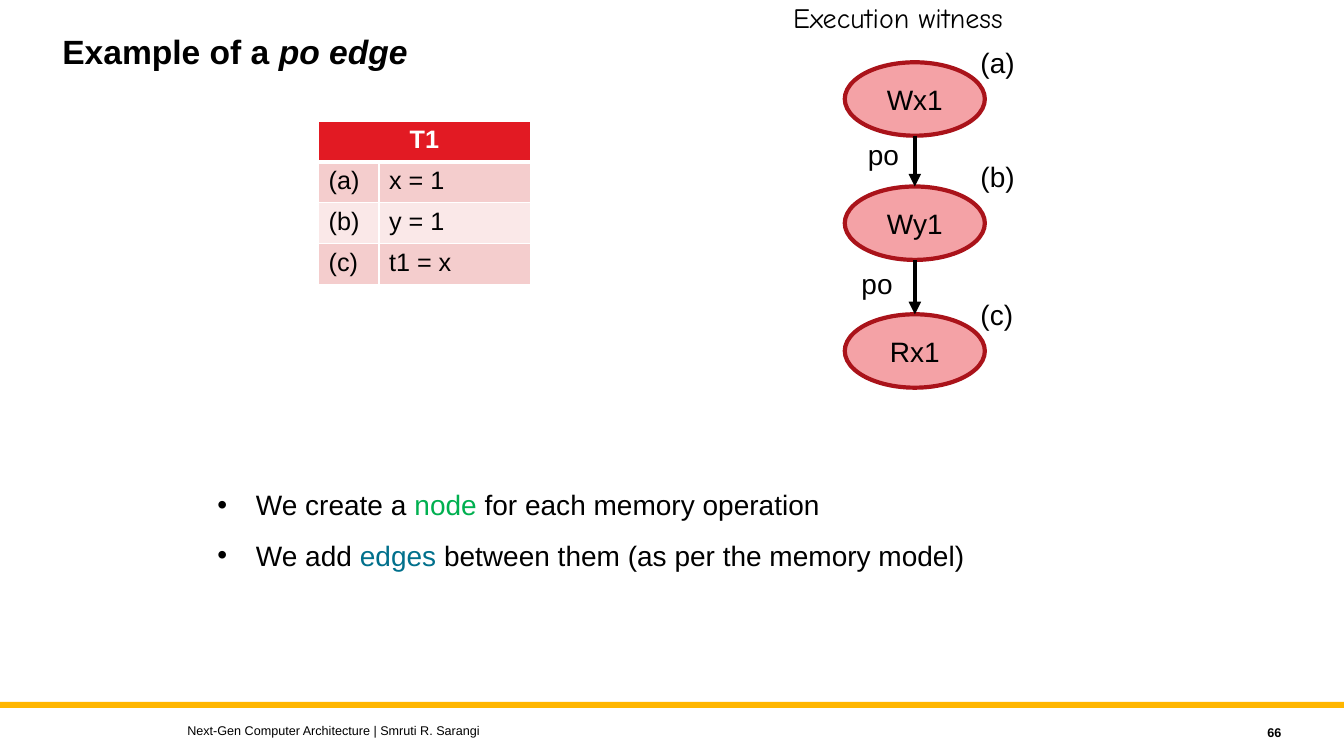
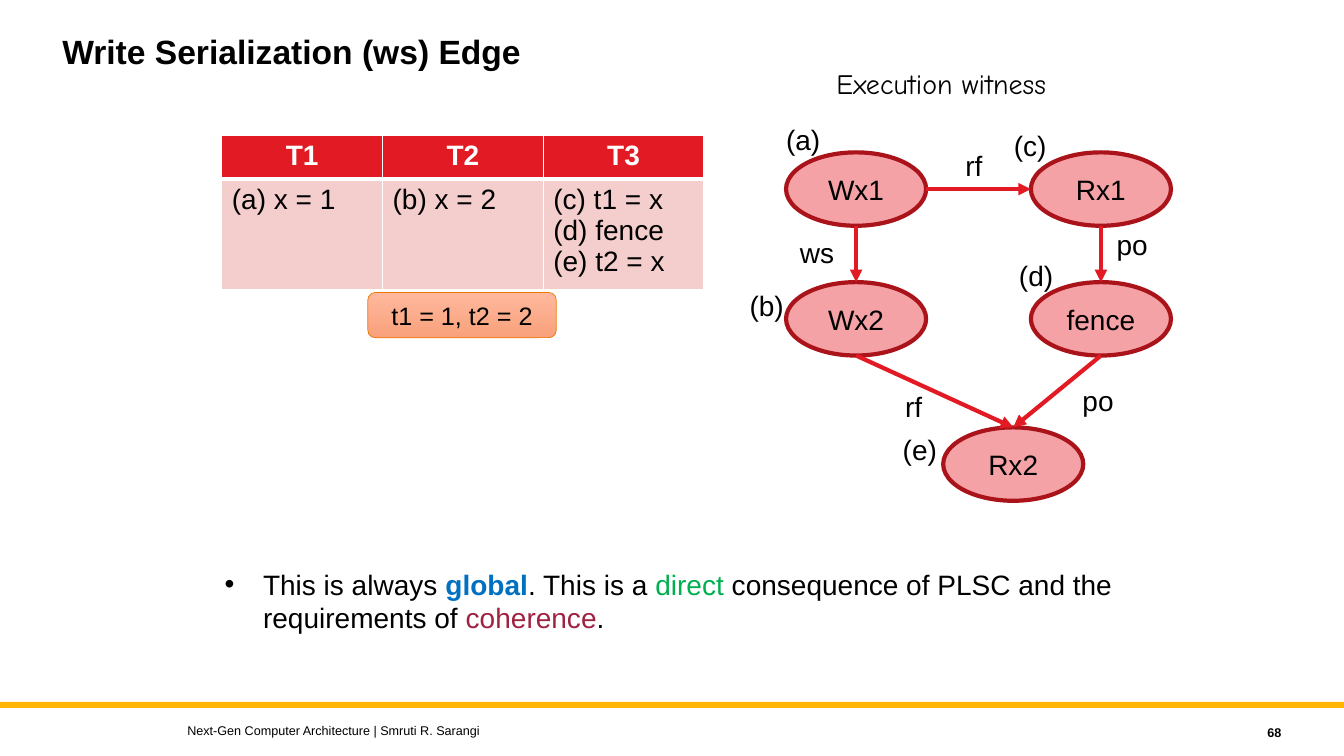
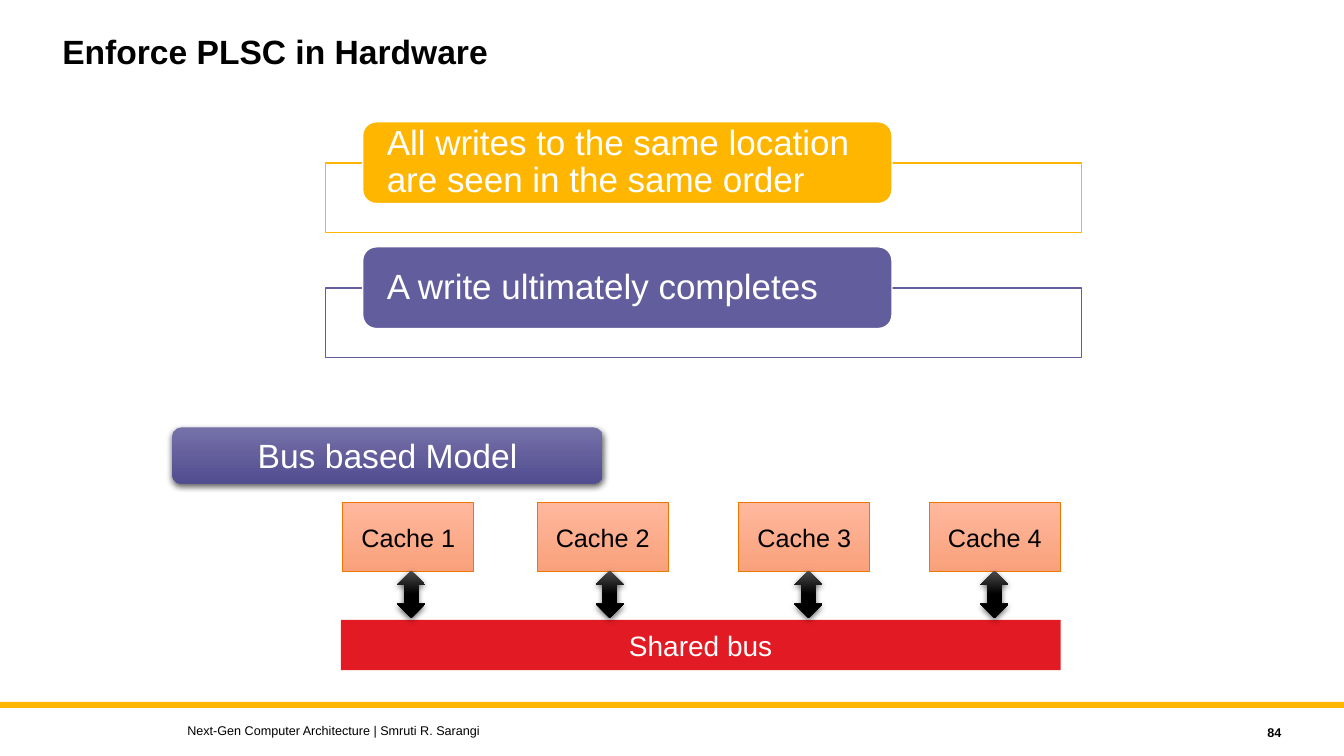
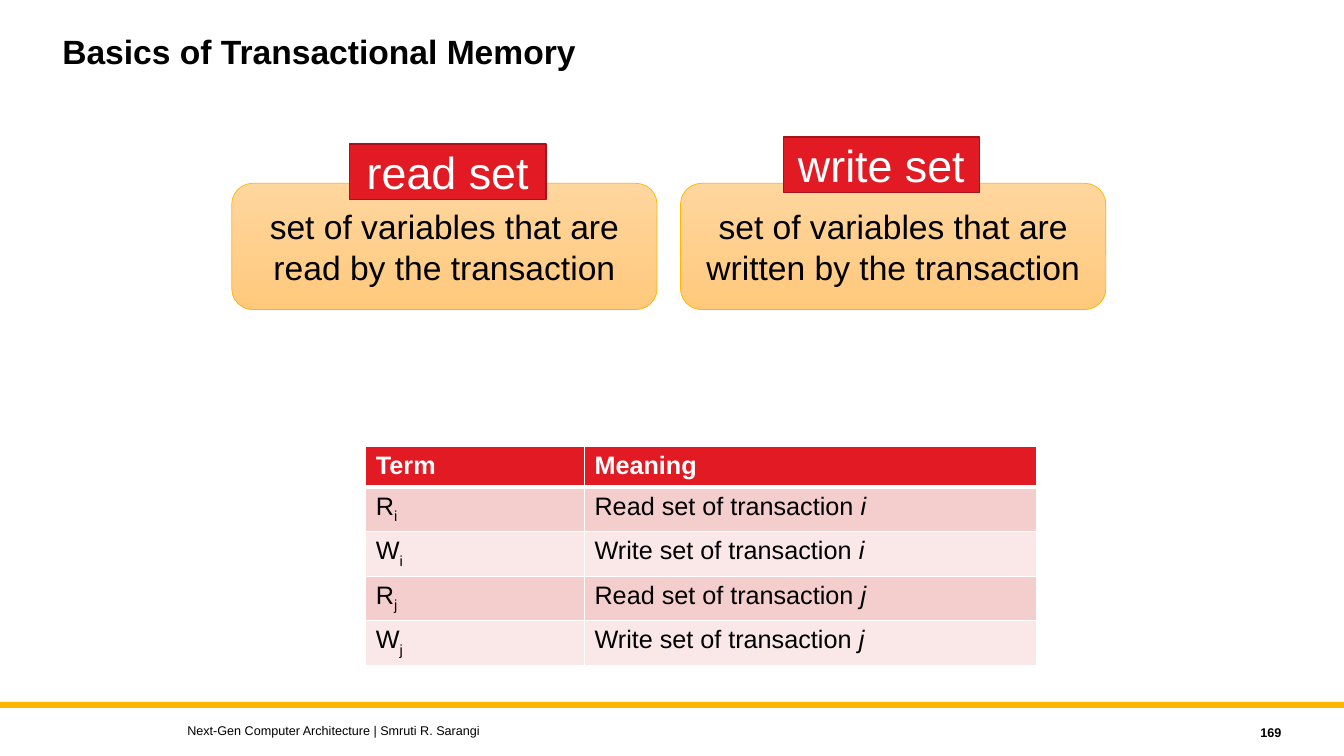
from typing import NamedTuple

from lxml.etree import SubElement
from pptx import Presentation
from pptx.dml.color import RGBColor
from pptx.enum.shapes import MSO_CONNECTOR, MSO_SHAPE
from pptx.enum.text import MSO_ANCHOR, PP_ALIGN
from pptx.oxml.ns import qn
from pptx.util import Cm, Pt

PAGE_WIDTH, PAGE_HEIGHT = 33.87, 19.05
BODY_FONT, WITNESS_FONT = "Arial", "Comic Neue"

BLACK, WHITE = "000000", "FFFFFF"
RED, DARK_RED, NODE_RED, NODE_LINE = "E21A23", "A7131A", "F4A2A6", "AA131A"
ROW_DARK, ROW_LIGHT = "F4CDCD", "FAE8E8"
AMBER, ORANGE, PURPLE = "FFB600", "EC7700", "625D9C"
GREEN, TEAL, BLUE, CRIMSON = "00B050", "01708C", "0070C0", "9F2241"
PEACH_BLEND = ("FFB89D", "F9A17C")
AMBER_BLEND = ("FFD69E", "FFC97C")
PURPLE_BLEND = ("7571A8", "524D90")
BLACK_BLEND = ("4B4B4B", BLACK)

FOOTER = "Next-Gen Computer Architecture | Smruti R. Sarangi"
ROW_HEIGHT = 1.03
NODE_WIDTH, NODE_HEIGHT = 3.53, 1.85


class Box(NamedTuple):
    """A rectangle in centimetres."""
    left: float
    top: float
    width: float = 0
    height: float = 0

    def inner(self, left, top, width, height):
        return Box(self.left + left, self.top + top, width, height)

    def lengths(self):
        return [Cm(value) for value in self]


# Text and paint

def colour(code):
    return RGBColor.from_string(code)


def write(para, spans, size, code=BLACK, bold=False, font=BODY_FONT):
    """Add runs; a span is a string or a pair of string and style changes."""
    for span in [spans] if isinstance(spans, str) else spans:
        text, style = (span, {}) if isinstance(span, str) else span
        run = para.add_run()
        run.text = text
        run.font.name = font
        run.font.size = Pt(size)
        run.font.bold = style.get("bold", bold)
        run.font.italic = style.get("italic", False)
        run.font.color.rgb = colour(style.get("colour", code))
        if "baseline" in style:
            run._r.get_or_add_rPr().set("baseline", style["baseline"])


def write_lines(frame, lines, size, code=BLACK, bold=False, align=None, font=BODY_FONT):
    paras = []
    for index, spans in enumerate(lines):
        para = frame.add_paragraph() if index else frame.paragraphs[0]
        para.alignment = align
        write(para, spans, size, code, bold, font)
        paras.append(para)
    return paras


def add_text(page, box, lines, size, anchor=MSO_ANCHOR.TOP, **style):
    frame = page.shapes.add_textbox(*box.lengths()).text_frame
    frame.word_wrap = True
    frame.vertical_anchor = anchor
    return write_lines(frame, lines, size, **style)


def add_shape(page, kind, box, fill, line=None, line_width=1.0, lines=(),
              size=20, code=BLACK, align=PP_ALIGN.CENTER):
    """Draw a preset shape; a pair of colours as fill gives a blend downwards."""
    shape = page.shapes.add_shape(kind, *box.lengths())
    shape.shadow.inherit = False
    if isinstance(fill, str):
        shape.fill.solid()
        shape.fill.fore_color.rgb = colour(fill)
    else:
        shape.fill.gradient()
        shape.fill.gradient_angle = 270
        for stop, stop_code in zip(shape.fill.gradient_stops, fill):
            stop.color.rgb = colour(stop_code)
    if line:
        shape.line.color.rgb = colour(line)
        shape.line.width = Pt(line_width)
    else:
        shape.line.fill.background()
    shape.text_frame.vertical_anchor = MSO_ANCHOR.MIDDLE
    write_lines(shape.text_frame, lines, size, code, align=align)
    return shape


def cast_shadow(shape):
    effects = shape._element.spPr.find(qn("a:effectLst"))
    shadow = SubElement(effects, qn("a:outerShdw"), blurRad=str(Pt(4.5)),
                        dist=str(Pt(1.5)), dir="5400000", rotWithShape="0")
    black = SubElement(shadow, qn("a:srgbClr"), val=BLACK)
    SubElement(black, qn("a:alpha"), val="63000")


def add_arrow(page, start, end, code):
    arrow = page.shapes.add_connector(
        MSO_CONNECTOR.STRAIGHT, *(Cm(value) for value in (*start, *end)))
    arrow.line.color.rgb = colour(code)
    arrow.line.width = Pt(3)
    properties = arrow._element.spPr
    SubElement(properties.find(qn("a:ln")), qn("a:tailEnd"), type="triangle")
    SubElement(properties, qn("a:effectLst"))


# Regions

def add_page(deck, title, number):
    """Blank page with title, band and footer."""
    page = deck.slides.add_slide(deck.slide_layouts[6])
    add_shape(page, MSO_SHAPE.RECTANGLE, Box(0, 17.69, PAGE_WIDTH, 0.15), AMBER)
    heading, = add_text(page, Box(1.32, 0.76, 25.4, 2.29), [title], 24, bold=True)
    heading.line_spacing = 0.9
    add_text(page, Box(4.47, 18.08, 20.32, 0.64), [FOOTER], 9, MSO_ANCHOR.MIDDLE)
    add_text(page, Box(28.98, 18.14, 3.56, 0.64), [str(number)], 9,
             MSO_ANCHOR.MIDDLE, bold=True, align=PP_ALIGN.RIGHT)
    return page


def add_bullets(page, box, items):
    for index, para in enumerate(add_text(page, box, items, 20)):
        properties = para._p.get_or_add_pPr()
        properties.set("marL", str(Cm(0.97)))
        properties.set("indent", str(-Cm(0.97)))
        SubElement(properties, qn("a:buFont"), typeface=BODY_FONT)
        SubElement(properties, qn("a:buChar"), char="•")
        if index:
            para.space_before = Pt(12)


def add_borders(cell, top, bottom):
    properties = cell._tc.get_or_add_tcPr()
    for side, width in (("L", 1), ("R", 1), ("T", top), ("B", bottom)):
        line = SubElement(properties, qn(f"a:ln{side}"), w=str(Pt(width)))
        fill = SubElement(line, qn("a:solidFill"))
        SubElement(fill, qn("a:srgbClr"), val=WHITE)


def add_table(page, box, widths, rows, size=18, header_align=PP_ALIGN.CENTER):
    """Red header over banded rows; each cell is a list of lines."""
    table = page.shapes.add_table(len(rows), len(widths), *box.lengths()).table
    table.horz_banding = False
    for column, width in zip(table.columns, widths):
        column.width = Cm(width)
    table.rows[0].height = Cm(ROW_HEIGHT)
    for r, row in enumerate(rows):
        header = r == 0
        for c in range(len(widths)):
            cell = table.cell(r, c)
            add_borders(cell, 3 if r == 1 else 1, 3 if header else 1)
            cell.fill.solid()
            cell.fill.fore_color.rgb = colour(
                RED if header else ROW_DARK if r % 2 else ROW_LIGHT)
            if c < len(row):
                write_lines(cell.text_frame, row[c], size, WHITE if header else BLACK,
                            header, header_align if header else None)
        if len(row) < len(widths):
            table.cell(r, len(row) - 1).merge(table.cell(r, len(widths) - 1))


def add_witness(page, box, title_left, nodes, edges, labels, edge_colour):
    """Graph of memory operations; nodes map a key to text and place."""
    add_text(page, box.inner(title_left, 0, 6.48, 1.12), ["Execution witness"], 20,
             font=WITNESS_FONT)
    ports = {}
    for key, (text, left, top) in nodes.items():
        node = box.inner(left, top, NODE_WIDTH, NODE_HEIGHT)
        add_shape(page, MSO_SHAPE.OVAL, node, NODE_RED, NODE_LINE, 3, [text])
        middle, centre = node.left + NODE_WIDTH / 2, node.top + NODE_HEIGHT / 2
        ports[key] = {"top": (middle, node.top),
                      "bottom": (middle, node.top + NODE_HEIGHT),
                      "left": (node.left, centre),
                      "right": (node.left + NODE_WIDTH, centre)}
    for source, leave, target, enter in edges:
        add_arrow(page, ports[source][leave], ports[target][enter], edge_colour)
    for text, left, top in labels:
        add_text(page, box.inner(left, top, 2.54, 1.12), [text], 20)


def add_rule(page, box, text, code):
    """Outlined frame with a filled tab over its upper edge."""
    add_shape(page, MSO_SHAPE.RECTANGLE, box.inner(0, 1.04, box.width, 1.75), WHITE, code)
    tab = add_shape(page, MSO_SHAPE.ROUNDED_RECTANGLE, box.inner(0.94, 0, 13.34, 2.06),
                    code, WHITE, 1, [text], 25, WHITE, PP_ALIGN.LEFT)
    frame = tab.text_frame
    frame.margin_left = frame.margin_right = Cm(0.51)
    frame.margin_top = frame.margin_bottom = 0
    frame.paragraphs[0].line_spacing = 0.9


def add_bus(page, box):
    """Caches joined by arrows to one shared bus."""
    add_shape(page, MSO_SHAPE.RECTANGLE, box.inner(0, 2.95, box.width, 1.27), RED,
              lines=["Shared bus"], code=WHITE)
    columns = [(0.05, 1.42), (4.95, 6.42), (10.03, 11.43), (14.83, 16.12)]
    for number, (cache_left, arrow_left) in enumerate(columns, 1):
        add_shape(page, MSO_SHAPE.RECTANGLE, box.inner(cache_left, 0, 3.3, 1.73),
                  PEACH_BLEND, ORANGE, 0.5, [f"Cache {number}"], 18)
        arrow = add_shape(page, MSO_SHAPE.UP_DOWN_ARROW,
                          box.inner(arrow_left, 1.71, 0.71, 1.19), BLACK_BLEND)
        arrow.fill.gradient_stops[1].position = 0.5
        cast_shadow(arrow)


def add_definition(page, box, term, lines, tag_left, tag_top):
    add_shape(page, MSO_SHAPE.ROUNDED_RECTANGLE, box, AMBER_BLEND, AMBER, 0.5, lines, 24)
    add_shape(page, MSO_SHAPE.RECTANGLE, box.inner(tag_left, tag_top, 4.95, 1.4),
              RED, DARK_RED, 1, [term], 32, WHITE)


# Slides

def build_po_edge(deck):
    page = add_page(deck, ["Example of a ", ("po edge", {"italic": True})], 66)
    add_bullets(page, Box(5.23, 12.17, 22.5, 3.18), [
        ["We create a ", ("node", {"colour": GREEN}), " for each memory operation"],
        ["We add ", ("edges", {"colour": TEAL}),
         " between them (as per the memory model)"]])
    add_table(page, Box(8.03, 3.05, 5.33, 4 * ROW_HEIGHT), [1.52, 3.81], [
        [["T1"]],
        [["(a)"], ["x = 1"]],
        [["(b)"], ["y = 1"]],
        [["(c)"], ["t1 = x"]]])
    add_witness(
        page, Box(19.74, -0.1), 0,
        {"a": ("Wx1", 1.55, 1.67), "b": ("Wy1", 1.55, 4.8), "c": ("Rx1", 1.55, 8.02)},
        [("a", "bottom", "b", "top"), ("b", "bottom", "c", "top")],
        [("(a)", 4.72, 1.12), ("(b)", 4.72, 3.99), ("(c)", 4.72, 7.47),
         ("po", 1.88, 3.43), ("po", 1.72, 6.68)],
        BLACK)


def build_ws_edge(deck):
    page = add_page(deck, "Write Serialization (ws) Edge", 68)
    add_bullets(page, Box(5.41, 14.17, 23.01, 2.51), [
        ["This is always ", ("global", {"colour": BLUE, "bold": True}), ". This is a ",
         ("direct", {"colour": GREEN}),
         " consequence of PLSC and the requirements of ",
         ("coherence", {"colour": CRIMSON}), "."]])
    add_table(page, Box(5.59, 3.4, 12.15, 3.65), [4.05] * 3, [
        [["T1"], ["T2"], ["T3"]],
        [["(a) x = 1"], ["(b) x = 2"], ["(c) t1 = x", "(d) fence", "(e) t2 = x"]]],
        size=20)
    add_shape(page, MSO_SHAPE.ROUNDED_RECTANGLE, Box(9.27, 7.37, 4.75, 1.14),
              PEACH_BLEND, ORANGE, 0.5, ["t1 = 1, t2 = 2"], 18)
    add_witness(
        page, Box(18.64, 1.55), 2.19,
        {"a": ("Wx1", 1.17, 2.29), "b": ("Wx2", 1.17, 5.56),
         "c": ("Rx1", 7.34, 2.29), "d": ("fence", 7.34, 5.56),
         "e": ("Rx2", 5.13, 9.22)},
        [("a", "bottom", "b", "top"), ("a", "right", "c", "left"),
         ("c", "bottom", "d", "top"), ("d", "bottom", "e", "top"),
         ("b", "bottom", "e", "top")],
        [("ws", 1.27, 4.27), ("rf", 5.44, 2.06), ("rf", 3.92, 8.13),
         ("po", 9.25, 4.06), ("po", 8.39, 8), ("(a)", 0.92, 1.4), ("(b)", 0, 5.59),
         ("(c)", 6.66, 1.57), ("(d)", 6.79, 4.83), ("(e)", 3.86, 9.22)],
        RED)


def build_plsc(deck):
    page = add_page(deck, "Enforce PLSC in Hardware", 84)
    rules = [("All writes to the same location are seen in the same order", AMBER),
             ("A write ultimately completes", PURPLE)]
    for index, (text, code) in enumerate(rules):
        add_rule(page, Box(8.2, 3.07 + 3.15 * index, 19.05, 2.79), text, code)
    model = add_shape(page, MSO_SHAPE.ROUNDED_RECTANGLE, Box(4.34, 10.77, 10.85, 1.42),
                      PURPLE_BLEND, lines=["Bus based Model"], size=24, code=WHITE)
    cast_shadow(model)
    add_bus(page, Box(8.59, 12.67, 18.14, 4.22))


def build_transactions(deck):
    page = add_page(deck, "Basics of Transactional Memory", 169)
    definitions = [("read set", "read", 5.84, 2.97, -0.99),
                   ("write set", "written", 17.15, 2.59, -1.17)]
    for term, verb, left, tag_left, tag_top in definitions:
        add_definition(page, Box(left, 4.62, 10.72, 3.18), term,
                       ["set of variables that are", f"{verb} by the transaction"],
                       tag_left, tag_top)
    rows = [[["Term"], ["Meaning"]]]
    for index in "ij":
        for kind in ("Read", "Write"):
            rows.append([[[kind[0], (index, {"baseline": "-25000"})]],
                         [[f"{kind} set of transaction ", (index, {"italic": True})]]])
    add_table(page, Box(9.22, 11.25, 16.91, 5 * ROW_HEIGHT), [5.51, 11.4], rows,
              header_align=PP_ALIGN.LEFT)


def main():
    deck = Presentation()
    deck.slide_width, deck.slide_height = Cm(PAGE_WIDTH), Cm(PAGE_HEIGHT)
    for build in (build_po_edge, build_ws_edge, build_plsc, build_transactions):
        build(deck)
    deck.save("out.pptx")


if __name__ == "__main__":
    main()
